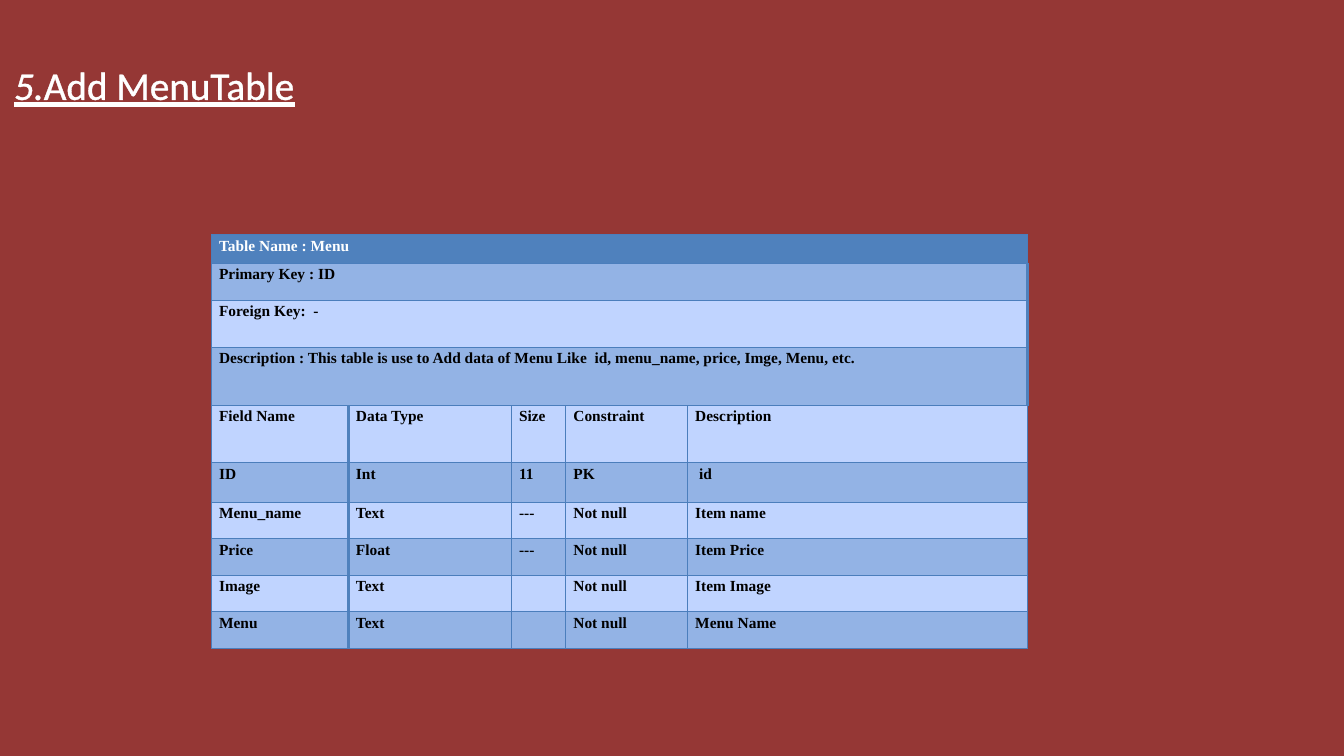
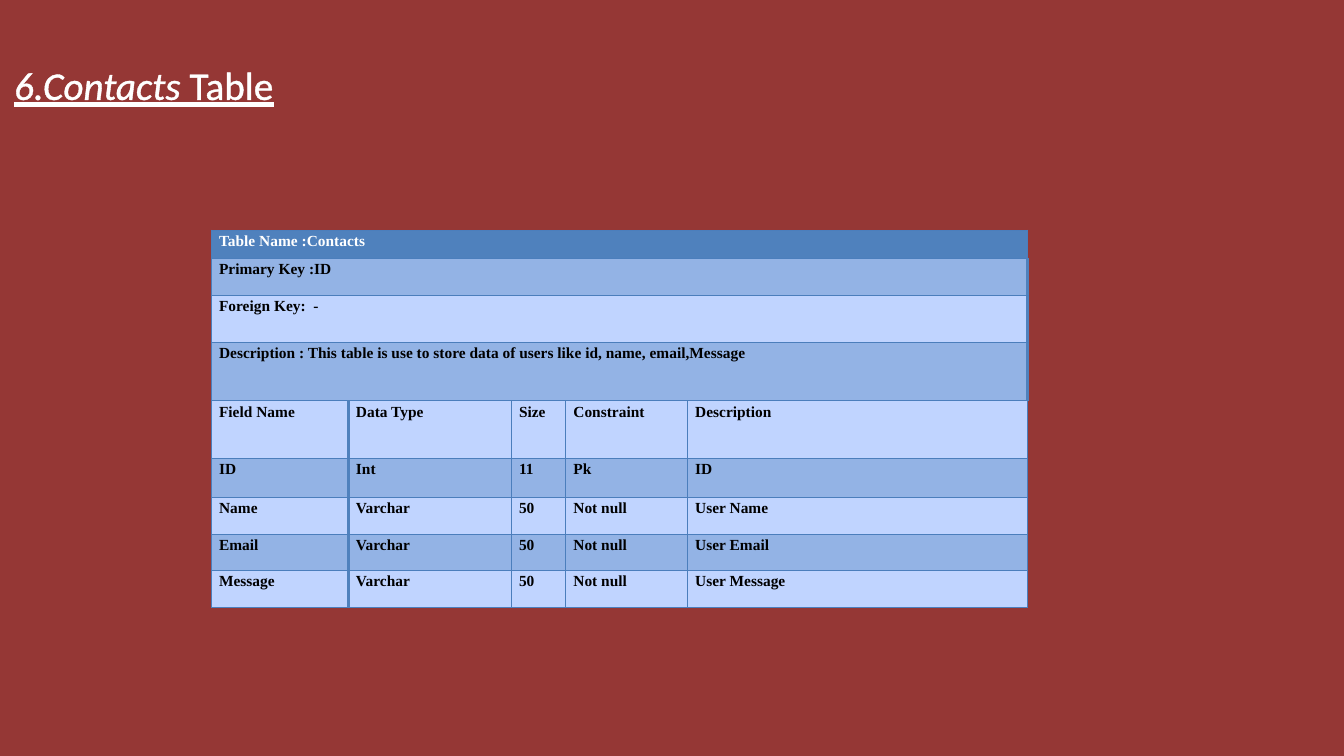
from lxml import etree
from pptx import Presentation
from pptx.dml.color import RGBColor
from pptx.enum import text
from pptx.oxml import ns
from pptx.util import Cm, Pt

COLORS = {
    "background": "953735",
    "white": "FFFFFF",
    "black": "000000",
    "header": "4F81BD",
    "band": "93B3E5",
    "plain": "C0D4FF",
    "border": "4B7EBC",
}
TITLE_FONT = {"name": "Calibri", "size": Pt(28), "bold": False, "underline": True}
CELL_FONT = {"name": "Times New Roman", "size": Pt(11), "bold": True}
CELL_FORMAT = {"margin_left": Cm(0.19), "margin_right": Cm(0.19),
               "margin_top": 0, "margin_bottom": 0}

# Grid, in cm
COLUMNS = [3.45, 4.11, 1.37, 3.07, 8.56]
TOP_ROWS = [0.71, 0.94, 1.18, 1.47, 1.44, 1.0]
FIELD_ROW = 0.92
HEADINGS = ["Field Name", "Data Type", "Size", "Constraint", "Description"]

SLIDES = [
    {
        "title": ("5.", "Add MenuTable"),
        "top": 5.92,
        "summary": [
            "Table Name : Menu",
            "Primary Key : ID",
            "Foreign Key:  -",
            "Description : This table is use to Add data of Menu Like  id, "
            "menu_name, price, Imge, Menu, etc.",
        ],
        "fields": [
            ["ID", "Int", "11", "PK", " id"],
            ["Menu_name", "Text", "---", "Not null", "Item name"],
            ["Price", "Float", "---", "Not null", "Item Price"],
            ["Image", "Text", "", "Not null", "Item Image"],
            ["Menu", "Text", "", "Not null", "Menu Name"],
        ],
    },
    {
        "title": ("6.Contacts ", "Table"),
        "top": 5.8,
        "summary": [
            "Table Name :Contacts",
            "Primary Key :ID",
            "Foreign Key:  -",
            "Description : This table is use to store data of users like id, "
            "name, email,Message",
        ],
        "fields": [
            ["ID", "Int", "11", "Pk", "ID"],
            ["Name", "Varchar", "50", "Not null", "User Name"],
            ["Email", "Varchar", "50", "Not null", "User Email"],
            ["Message", "Varchar", "50", "Not null", "User Message"],
        ],
    },
]


def rgb(name):
    return RGBColor.from_string(COLORS[name])


def apply(obj, values):
    for key, value in values.items():
        setattr(obj, key, value)


def add_run(p, content, font, color):
    r = p.add_run()
    r.text = content
    apply(r.font, font)
    r.font.color.rgb = rgb(color)
    return r


def add_line(parent, tag, width, color):
    ln = etree.SubElement(parent, ns.qn(tag), w=str(int(width)))
    fill = etree.SubElement(ln, ns.qn("a:solidFill"))
    etree.SubElement(fill, ns.qn("a:srgbClr"), val=COLORS[color])
    return ln


def add_title(s, parts, left, top, width, height):
    sp = s.shapes.title
    apply(sp, {"left": left, "top": top, "width": width, "height": height})
    tf = sp.text_frame
    apply(tf, {"word_wrap": True, "auto_size": text.MSO_AUTO_SIZE.NONE,
               "vertical_anchor": text.MSO_ANCHOR.TOP})
    p = tf.paragraphs[0]
    apply(p, {"alignment": text.PP_ALIGN.LEFT, "line_spacing": 1.28})
    for content, italic in zip(parts, (True, False)):
        r = add_run(p, content, {**TITLE_FONT, "italic": italic}, "white")
        # The text outline comes first among the run properties
        props = r.font.fill._xPr
        props.insert(0, add_line(props, "a:ln", Pt(1.45), "white"))


def format_cell(cell, content, fill, color, heavy_right):
    apply(cell, CELL_FORMAT)
    props = cell._tc.get_or_add_tcPr()
    for side in "LRTB":
        heavy = heavy_right and side == "R"
        add_line(props, f"a:ln{side}", Pt(2 if heavy else 0.75),
                 "header" if heavy else "border")
    cell.fill.solid()
    cell.fill.fore_color.rgb = rgb(fill)
    if content:
        p = cell.text_frame.paragraphs[0]
        apply(p, {"line_spacing": 1.15, "space_after": Pt(10)})
        add_run(p, content, CELL_FONT, color)


def add_schema_table(s, summary, fields, left, top):
    rows = [[line] + [""] * (len(COLUMNS) - 1) for line in summary]
    rows += [HEADINGS] + fields
    heights = TOP_ROWS + [FIELD_ROW] * (len(rows) - len(TOP_ROWS))
    table = s.shapes.add_table(len(rows), len(COLUMNS), left, top,
                               Cm(sum(COLUMNS)), Cm(sum(heights))).table
    for column, width in zip(table.columns, COLUMNS):
        column.width = Cm(width)
    for i, (row, height) in enumerate(zip(rows, heights)):
        table.rows[i].height = Cm(height)
        fill = "header" if i == 0 else "band" if i % 2 else "plain"
        for j, content in enumerate(row):
            format_cell(table.cell(i, j), content, fill,
                        "black" if i else "white", i > 0 and j == 0)
        # Summary lines run across the whole table
        if i < len(summary):
            table.cell(i, 0).merge(table.cell(i, len(COLUMNS) - 1))


def main():
    prs = Presentation()
    apply(prs, {"slide_width": Cm(33.87), "slide_height": Cm(19.05)})
    background = prs.slide_master.background.fill
    background.solid()
    background.fore_color.rgb = rgb("background")
    for item in SLIDES:
        s = prs.slides.add_slide(prs.slide_layouts.get_by_name("Title Only"))
        add_title(s, item["title"], Cm(0.1), Cm(1.07), Cm(8.84), Cm(1.63))
        add_schema_table(s, item["summary"], item["fields"],
                         Cm(5.33), Cm(item["top"]))
    prs.save("out.pptx")


if __name__ == "__main__":
    main()
